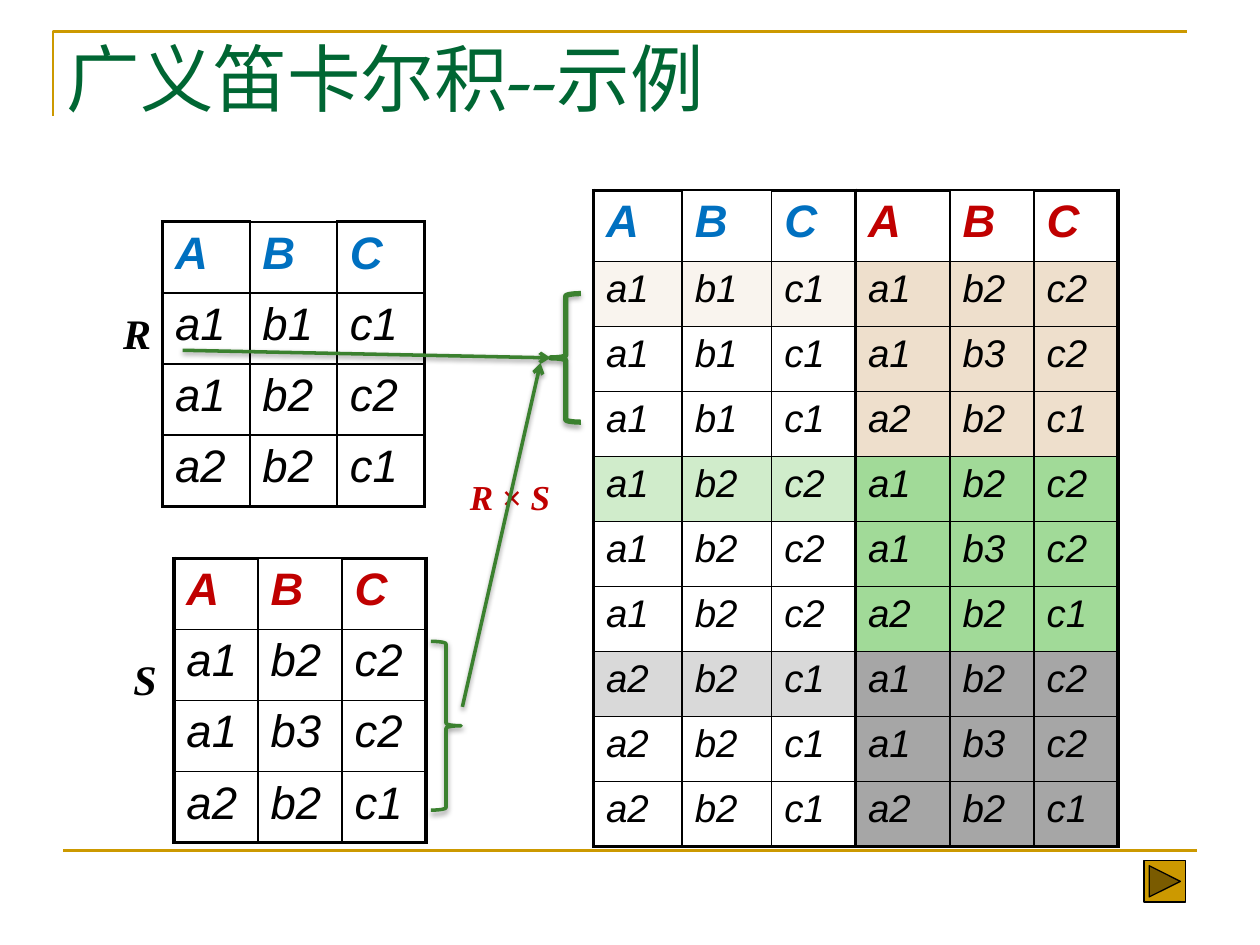
from dataclasses import dataclass
from itertools import product

from lxml.etree import SubElement
from pptx import Presentation
from pptx.dml.color import RGBColor
from pptx.enum.shapes import MSO_CONNECTOR, MSO_SHAPE as SHAPE
from pptx.enum.text import MSO_ANCHOR as ANCHOR, MSO_AUTO_SIZE, PP_ALIGN as ALIGN
from pptx.oxml.ns import qn
from pptx.util import Inches, Pt


@dataclass(frozen=True)
class Theme:
    """Colours, fonts and sizes of the slide."""
    title: str = "006633"
    gold: str = "CC9900"
    blue: str = "0070C0"
    red: str = "C00000"
    black: str = "000000"
    green: str = "3B812F"
    light: tuple = ("F9F4EE", "D0ECCB", "D9D9D9")
    dark: tuple = ("EEDFCC", "A1DA98", "A6A6A6")
    title_font: str = "TeX Gyre Pagella"
    table_font: str = "Arial"
    label_font: str = "Times New Roman"
    title_size: int = 42
    head_size: int = 26
    body_size: int = 22
    label_size: int = 24
    product_size: int = 20
    thick: float = 2.25
    thin: float = 1


T = Theme()
HEADS = ("A", "B", "C")
R_ROWS = (("a1", "b1", "c1"), ("a1", "b2", "c2"), ("a2", "b2", "c1"))
S_ROWS = (("a1", "b2", "c2"), ("a1", "b3", "c2"), ("a2", "b2", "c1"))
HEAD_ROW, PAIR_ROW = 7.53, 6.88


def X(share):
    """Length as a percentage of the slide width."""
    return Inches(10 * share / 100)


def Y(share):
    """Length as a percentage of the slide height."""
    return Inches(7.5 * share / 100)


def box(x, y, w, h):
    """Left, top, width and height from percentages."""
    return X(x), Y(y), X(w), Y(h)


def write(p, text, size, font, color, bold=False, italic=False):
    """Add one formatted run to a paragraph."""
    r = p.add_run()
    r.text = text
    f = r.font
    f.size, f.name, f.bold, f.italic = Pt(size), font, bold, italic
    f.color.rgb = RGBColor.from_string(color)


def stroke(sp, color, width):
    """Set the outline of a shape or connector."""
    sp.line.color.rgb = RGBColor.from_string(color)
    sp.line.width = Pt(width)


def shade(sp, alpha=None, distance=0):
    """Give a shape no shadow, or a soft one below it."""
    pr = sp._element.spPr
    for old in pr.findall(qn("a:effectLst")):
        pr.remove(old)
    effects = SubElement(pr, qn("a:effectLst"))
    if alpha:
        shadow = SubElement(effects, qn("a:outerShdw"), blurRad=str(Pt(3.1)),
                            dist=str(Pt(distance)), dir="5400000", rotWithShape="0")
        color = SubElement(shadow, qn("a:srgbClr"), val=T.black)
        SubElement(color, qn("a:alpha"), val=str(alpha * 1000))


def add_line(s, x1, y1, x2, y2, color, width, arrow=False):
    """Draw a straight line, with a shadow and head when it is an arrow."""
    sp = s.shapes.add_connector(MSO_CONNECTOR.STRAIGHT, X(x1), Y(y1), X(x2), Y(y2))
    stroke(sp, color, width)
    if arrow:
        SubElement(sp.line._get_or_add_ln(), qn("a:tailEnd"), type="arrow")
        shade(sp, 38, 1.6)
    else:
        shade(sp)


def add_frame(s):
    """Draw the corner rule above the title and the rule at the foot."""
    fb = s.shapes.build_freeform(X(4.2), Y(12.27))
    fb.add_line_segments([(X(4.2), Y(3.33)), (X(94.2), Y(3.33))], close=False)
    corner = fb.convert_to_shape()
    corner.fill.background()
    stroke(corner, T.gold, 1.5)
    shade(corner)
    add_line(s, 5, 90, 95, 90, T.gold, 1.5)


def add_title(s, text):
    """Place and format the title placeholder."""
    sp = s.shapes.title
    sp.left, sp.top, sp.width, sp.height = box(4.3, 2.8, 90, 16.67)
    tf = sp.text_frame
    tf.auto_size, tf.vertical_anchor = MSO_AUTO_SIZE.NONE, ANCHOR.TOP
    p = tf.paragraphs[0]
    p.alignment = ALIGN.LEFT
    write(p, text, T.title_size, T.title_font, T.title)


def add_label(s, place, runs):
    """Add a centred bold label made of (text, size, italic) runs."""
    tf = s.shapes.add_textbox(*box(*place)).text_frame
    tf.word_wrap, tf.vertical_anchor = False, ANCHOR.MIDDLE
    p = tf.paragraphs[0]
    p.alignment = ALIGN.CENTER
    color = T.black if len(runs) == 1 else T.red
    for text, size, italic in runs:
        write(p, text, size, T.label_font, color, bold=True, italic=italic)


def set_borders(cell, **widths):
    """Set the black borders of a cell, in the order L, R, T, B."""
    pr = cell._tc.get_or_add_tcPr()
    for i, (side, width) in enumerate(widths.items()):
        ln = SubElement(pr, qn("a:ln" + side), w=str(Pt(width)))
        fill = SubElement(ln, qn("a:solidFill"))
        SubElement(fill, qn("a:srgbClr"), val=T.black)
        pr.insert(i, ln)


def fill_cell(cell, text, fill=None, **fmt):
    """Write a table cell and set its background."""
    p = cell.text_frame.paragraphs[0]
    before = SubElement(p._p.get_or_add_pPr(), qn("a:spcBef"))
    SubElement(before, qn("a:spcPct"), val="20000")
    write(p, text, font=T.table_font, italic=True, **fmt)
    if fill:
        cell.fill.solid()
        cell.fill.fore_color.rgb = RGBColor.from_string(fill)
    else:
        cell.fill.background()


def add_relation(s, x, y, cols, rows, head_color, row_height=HEAD_ROW,
                 size=T.head_size, fills=None):
    """Add a relation table with a heading row and optional row fills."""
    heights = [HEAD_ROW] + [row_height] * len(rows)
    fills = [None] + (fills or [None] * len(rows))
    tb = s.shapes.add_table(len(heights), len(cols),
                            *box(x, y, sum(cols), sum(heights))).table
    tb.first_row = tb.horz_banding = False
    for col, w in zip(tb.columns, cols):
        col.width = X(w)
    last_row, last_col = len(rows), len(cols) - 1
    for i, values in enumerate([HEADS, *rows]):
        tb.rows[i].height = Y(heights[i])
        fmt = (dict(size=size, color=T.black) if i else
               dict(size=T.head_size, color=head_color, bold=True))
        for j, text in enumerate(values):
            cell = tb.cell(i, j)
            fill_cell(cell, text, fills[i], **fmt)
            edges = dict(L=j == 0, R=j == last_col,
                         T=i == 0 and j in (0, last_col), B=i == last_row)
            set_borders(cell, **{k: T.thick if outer else T.thin
                                 for k, outer in edges.items()})


def add_brace(s, kind, place, width, alpha, distance):
    """Add a green brace with a soft shadow."""
    sp = s.shapes.add_shape(kind, *box(*place))
    sp.fill.background()
    stroke(sp, T.green, width)
    shade(sp, alpha, distance)


def add_next_button(s):
    """Add the forward button at the lower right."""
    sp = s.shapes.add_shape(SHAPE.ACTION_BUTTON_FORWARD_OR_NEXT,
                            *box(90.8, 91.07, 3.3, 4.4))
    sp.shadow.inherit = False
    sp.fill.solid()
    sp.fill.fore_color.rgb = RGBColor.from_string(T.gold)
    stroke(sp, T.black, 0.75)


def main():
    """Build the slide on the Cartesian product and save it."""
    prs = Presentation()
    prs.slide_width, prs.slide_height = Inches(10), Inches(7.5)
    s = prs.slides.add_slide(prs.slide_layouts[5])
    add_frame(s)
    add_title(s, "广义笛卡尔积--示例")

    pairs = list(product(R_ROWS, S_ROWS))
    pair_style = dict(row_height=PAIR_ROW, size=T.body_size)
    first_fills = [f for c in T.light for f in (c, None, None)]
    all_fills = [c for c in T.dark for _ in S_ROWS]
    add_relation(s, 12.9, 23.47, [6.93] * 3, R_ROWS, T.blue)
    add_relation(s, 47.1, 20.13, [7.05, 7.1, 6.65], [r for r, _ in pairs],
                 T.blue, fills=first_fills, **pair_style)
    add_relation(s, 13.8, 59.07, [6.67] * 3, S_ROWS, T.red)
    add_label(s, (8.8, 29.07, 3.3, 12.27), [("R", T.label_size, True)])
    add_label(s, (9.6, 65.73, 3.3, 12.27), [("S", T.label_size, True)])
    add_label(s, (36.3, 46.67, 9.2, 11.07),
              [("R ", T.product_size, True), ("×", T.product_size, False),
               (" S", T.product_size, True), (" ", T.label_size, False)])
    add_relation(s, 67.9, 20.13, [7.5, 6.67, 6.67], [r for _, r in pairs],
                 T.red, fills=all_fills, **pair_style)

    add_next_button(s)
    add_brace(s, SHAPE.LEFT_BRACE, (43.7, 31.07, 2.4, 13.6), 3, 35, 1.8)
    add_line(s, 14.5, 37.07, 43.7, 37.87, T.green, 2, arrow=True)
    add_brace(s, SHAPE.RIGHT_BRACE, (34.2, 67.87, 2.4, 17.87), 2, 38, 1.6)
    add_line(s, 36.7, 74.8, 42.9, 38.4, T.green, 2, arrow=True)
    prs.save("out.pptx")


main()
